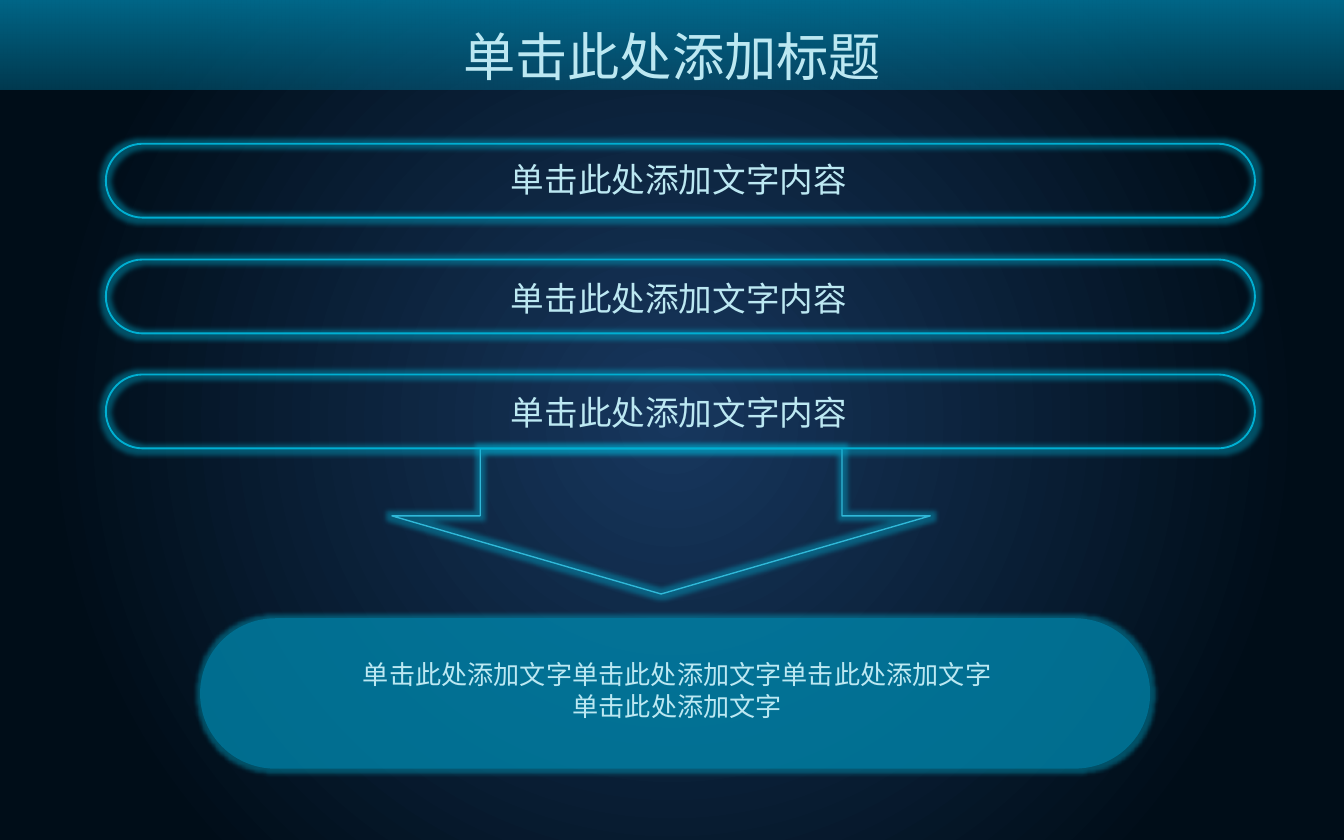
"""Build a dark slide with three glowing bars, an arrow and a summary panel."""
from pptx import Presentation
from pptx.dml.color import RGBColor
from pptx.enum.shapes import MSO_SHAPE
from pptx.enum.text import MSO_ANCHOR, PP_ALIGN
from pptx.oxml import parse_xml
from pptx.oxml.ns import nsdecls, qn
from pptx.util import Pt

RECT, PILL, ARROW = MSO_SHAPE.RECTANGLE, MSO_SHAPE.ROUNDED_RECTANGLE, MSO_SHAPE.DOWN_ARROW
CENTER, MIDDLE = PP_ALIGN.CENTER, MSO_ANCHOR.MIDDLE
FONT = "Noto Sans CJK SC"
COLORS = {"navy": "17375E", "night": "000D18", "teal": "007DA4",
          "edge": "00AFD2", "arrow": "30B8D8", "text": "BCE8F2"}

TITLE = "单击此处添加标题"
BARS = [("单击此处添加文字内容", 77, 81.4),
        ("单击此处添加文字内容", 139, 145.4),
        ("单击此处添加文字内容", 200.6, 206)]
SUMMARY = ["单击此处添加文字单击此处添加文字单击此处添加文字", "单击此处添加文字"]

RADIAL = '<a:path path="circle"><a:fillToRect l="50000" t="50000" r="50000" b="50000"/></a:path>'
DOWNWARD = '<a:lin ang="5400000" scaled="0"/>'


def color_xml(name, alpha):
    return f'<a:srgbClr val="{COLORS[name]}"><a:alpha val="{alpha * 1000}"/></a:srgbClr>'


def set_gradient(owner, fill, stops, direction):
    fill.gradient()
    old = next(owner.element.iter(qn("a:gradFill")))
    gs = "".join(f'<a:gs pos="{pos * 1000}">{color_xml(name, alpha)}</a:gs>'
                 for pos, name, alpha in stops)
    new = parse_xml(f'<a:gradFill {nsdecls("a")} rotWithShape="1">'
                    f'<a:gsLst>{gs}</a:gsLst>{direction}</a:gradFill>')
    old.getparent().replace(old, new)


def add_shape(s, kind, box, adjustments=(), line=None, width=1, glow=True):
    sp = s.shapes.add_shape(kind, *map(Pt, box))
    sp.shadow.inherit = False
    for i, value in enumerate(adjustments):
        sp.adjustments[i] = value
    sp.fill.background()
    if line:
        sp.line.color.rgb = RGBColor.from_string(COLORS[line])
        sp.line.width = Pt(width)
    else:
        sp.line.fill.background()
    if glow:
        effects = sp.element.spPr.find(qn("a:effectLst"))
        effects.append(parse_xml(f'<a:glow {nsdecls("a")} rad="{Pt(5)}">'
                                 f'{color_xml("edge", 40)}</a:glow>'))
    return sp


def add_text(s, lines, box, size, wrap=True):
    tf = s.shapes.add_textbox(*map(Pt, box)).text_frame
    tf.word_wrap, tf.vertical_anchor = wrap, MIDDLE
    for i, line in enumerate(lines):
        p = tf.add_paragraph() if i else tf.paragraphs[0]
        p.alignment = CENTER
        r = p.add_run()
        r.text = line
        for name, value in {"size": Pt(size), "name": FONT}.items():
            setattr(r.font, name, value)
        r.font.color.rgb = RGBColor.from_string(COLORS["text"])
        r.font.element.append(parse_xml(f'<a:ea {nsdecls("a")} typeface="{FONT}"/>')) \
            if hasattr(r.font, "element") else \
            r.font.language_id
    return tf


def main():
    prs = Presentation()
    prs.slide_width, prs.slide_height = Pt(720), Pt(450)
    s = prs.slides.add_slide(prs.slide_layouts[6])
    set_gradient(s, s.background.fill, [(0, "navy", 100), (80, "night", 100)], RADIAL)

    header = add_shape(s, RECT, (0, 0, 720, 48.2), glow=False)
    set_gradient(header, header.fill, [(0, "teal", 80), (100, "teal", 39)], DOWNWARD)

    add_shape(s, ARROW, (210, 240.4, 288.4, 77.8), (0.672, 0.538), "arrow", 0.75)
    for text, bar_top, text_top in BARS:
        add_shape(s, PILL, (56.7, bar_top, 615.6, 39.6), (0.5,), "edge")
        add_text(s, [text], (265.4, text_top, 196.6, 29), 18, wrap=False)

    panel = add_shape(s, PILL, (107.2, 331.2, 509, 80.6), (0.5,))
    panel.fill.solid()
    panel.fill.fore_color.rgb = RGBColor.from_string(COLORS["teal"])
    solid = panel.element.spPr.find(qn("a:solidFill"))
    solid[0].append(parse_xml(f'<a:alpha {nsdecls("a")} val="65000"/>'))
    add_text(s, SUMMARY, (154.8, 349.2, 416.2, 41), 14)

    tf = add_text(s, [TITLE], (207.4, 3.6, 305.3, 48.2), 28)
    tf.margin_top = Pt(8)
    prs.save("out.pptx")


if __name__ == "__main__":
    main()
